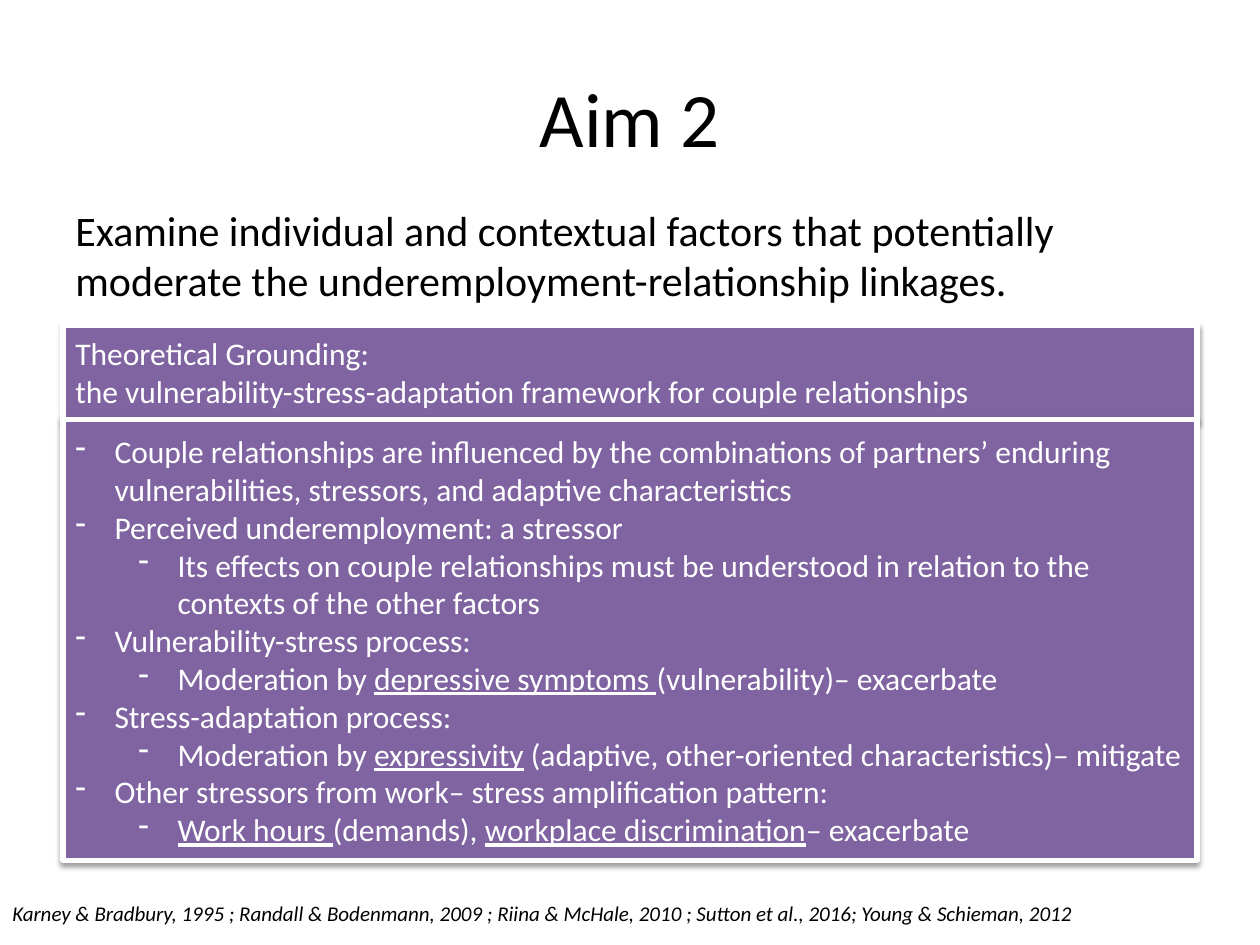
from lxml import etree
from pptx import Presentation
from pptx.dml.color import RGBColor
from pptx.enum.shapes import MSO_SHAPE
from pptx.enum.text import MSO_ANCHOR, MSO_AUTO_SIZE, PP_ALIGN
from pptx.oxml.ns import qn
from pptx.util import Cm, Pt

RECT = MSO_SHAPE.RECTANGLE
TOP, MIDDLE = MSO_ANCHOR.TOP, MSO_ANCHOR.MIDDLE
LEFT, CENTER = PP_ALIGN.LEFT, PP_ALIGN.CENTER
GROW = MSO_AUTO_SIZE.SHAPE_TO_FIT_TEXT

BLACK = RGBColor(0x00, 0x00, 0x00)
WHITE = RGBColor(0xFF, 0xFF, 0xFF)
PURPLE = RGBColor(0x80, 0x64, 0xA2)

MARGIN, WIDTH = 1.27, 22.86
HANG, LEVEL_STEP = 0.79, 1.27

AIM = ("Examine individual and contextual factors that potentially "
       "moderate the underemployment-relationship linkages.")
GROUNDING = [
    "Theoretical Grounding:",
    "the vulnerability-stress-adaptation framework for couple relationships",
]
# (level, text); underscores enclose underlined words
POINTS = [
    (0, "Couple relationships are influenced by the combinations of partners’ "
        "enduring vulnerabilities, stressors, and adaptive characteristics"),
    (0, "Perceived underemployment: a stressor"),
    (1, "Its effects on couple relationships must be understood in relation "
        "to the contexts of the other factors"),
    (0, "Vulnerability-stress process:"),
    (1, "Moderation by _depressive symptoms _(vulnerability)– exacerbate"),
    (0, "Stress-adaptation process:"),
    (1, "Moderation by _expressivity_ (adaptive, other-oriented "
        "characteristics)– mitigate"),
    (0, "Other stressors from work– stress amplification pattern:"),
    (1, "_Work hours _(demands), _workplace discrimination_– exacerbate"),
]
CITATIONS = ("Karney & Bradbury, 1995 ; Randall & Bodenmann, 2009 ; "
             "Riina & McHale, 2010 ; Sutton et al., 2016; Young & Schieman, 2012")


def set_format(obj, values):
    """Set each attribute of obj named in values."""
    for name, value in values.items():
        setattr(obj, name, value)


def add_dash(p, level):
    """Give a paragraph a hanging dash bullet at its level."""
    pPr = p._p.get_or_add_pPr()
    pPr.set("marL", str(Cm(HANG + level * LEVEL_STEP)))
    pPr.set("indent", str(-Cm(HANG)))
    etree.SubElement(pPr, qn("a:buFontTx"))
    etree.SubElement(pPr, qn("a:buChar"), char="-")


def add_runs(p, text, size, color, italic=False):
    """Split text at underscores into plain and underlined runs."""
    for i, part in enumerate(text.split("_")):
        if part:
            r = p.add_run()
            r.text = part
            set_format(r.font, {"name": "Calibri", "size": Pt(size),
                                "italic": italic, "underline": i % 2 == 1})
            r.font.color.rgb = color


def add_text(slide, box, text, size, anchor=TOP, align=LEFT, before=0,
             italic=False, wrap=True):
    """Add a text box with one black paragraph."""
    sp = slide.shapes.add_textbox(*map(Cm, box))
    tf = sp.text_frame
    set_format(tf, {"word_wrap": wrap, "vertical_anchor": anchor})
    if not wrap:
        tf.auto_size = GROW
    p = tf.paragraphs[0]
    set_format(p, {"alignment": align, "space_before": Pt(before)})
    add_runs(p, text, size, BLACK, italic)


def add_shadow(sp):
    """Give a shape a soft shadow straight below it."""
    sp.shadow.inherit = False
    effects = sp._element.spPr.find(qn("a:effectLst"))
    shadow = etree.SubElement(effects, qn("a:outerShdw"), blurRad=str(Pt(3.1)),
                              dist=str(Pt(1.6)), dir="5400000", rotWithShape="0")
    color = etree.SubElement(shadow, qn("a:srgbClr"), val=str(BLACK))
    etree.SubElement(color, qn("a:alpha"), val="38000")


def add_panel(slide, top, height, items, dashed=False):
    """Add a purple panel holding (level, text) items."""
    sp = slide.shapes.add_shape(RECT, *map(Cm, (MARGIN, top, WIDTH, height)))
    sp.fill.solid()
    sp.fill.fore_color.rgb = PURPLE
    sp.line.color.rgb = WHITE
    sp.line.width = Pt(3)
    add_shadow(sp)
    tf = sp.text_frame
    set_format(tf, {"word_wrap": True, "vertical_anchor": MIDDLE})
    for i, (level, text) in enumerate(items):
        p = tf.add_paragraph() if i else tf.paragraphs[0]
        set_format(p, {"alignment": LEFT, "level": level})
        if dashed:
            add_dash(p, level)
        add_runs(p, text, 18, WHITE)


def main():
    """Build the slide and save it."""
    prs = Presentation()
    set_format(prs, {"slide_width": Cm(25.4), "slide_height": Cm(19.05)})
    slide = prs.slides.add_slide(prs.slide_layouts[6])
    add_text(slide, (MARGIN, 0.76, WIDTH, 3.18), "Aim 2", 44, MIDDLE, CENTER)
    add_text(slide, (MARGIN, 3.99, WIDTH, 2.59), AIM, 24, before=4.8)
    add_panel(slide, 6.55, 1.91, [(0, text) for text in GROUNDING])
    add_panel(slide, 8.46, 8.89, POINTS, dashed=True)
    add_text(slide, (0, 18.03, 22.33, 0.76), CITATIONS, 12, italic=True, wrap=False)
    prs.save("out.pptx")


main()
